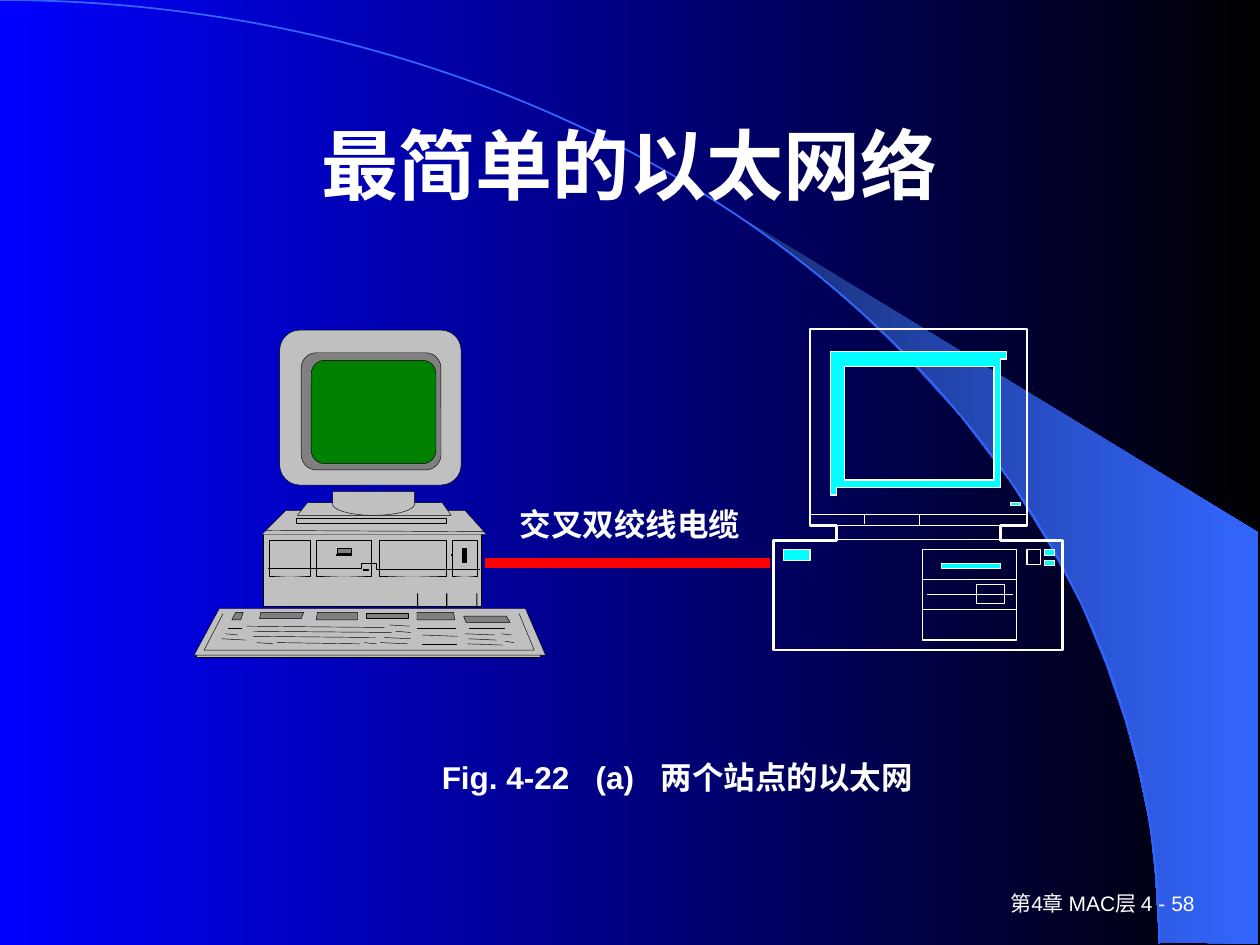
from math import cos, pi, sin

from lxml import etree
from pptx import Presentation
from pptx.dml.color import RGBColor
from pptx.enum.shapes import MSO_CONNECTOR, MSO_SHAPE
from pptx.enum.text import MSO_ANCHOR, PP_ALIGN
from pptx.oxml.ns import qn
from pptx.util import Cm, Pt

RECT, ROUND = MSO_SHAPE.RECTANGLE, MSO_SHAPE.ROUNDED_RECTANGLE
STRAIGHT = MSO_CONNECTOR.STRAIGHT
CENTER, RIGHT = PP_ALIGN.CENTER, PP_ALIGN.RIGHT
TOP, MIDDLE = MSO_ANCHOR.TOP, MSO_ANCHOR.MIDDLE
GRID = Cm(2.54) // 100
FINE = 100


class Theme:
    font = "Arial"
    title, label, footer = 44, 18, 12
    blue, black, white, red = "0000FF", "000000", "FFFFFF", "FF0000"
    navy, azure = "182F76", "3366FF"
    case, trim, screen, cyan = "C0C0C0", "808080", "008000", "00FFFF"


def add_text(text, box, size, align=CENTER, anchor=TOP, bold=False):
    tf = s.shapes.add_textbox(*(v * GRID for v in box)).text_frame
    tf.word_wrap = True
    tf.vertical_anchor = anchor
    p = tf.paragraphs[0]
    p.alignment = align
    r = p.add_run()
    r.text = text
    r.font.name, r.font.size, r.font.bold = Theme.font, Pt(size), bold
    r.font.color.rgb = RGBColor.from_string(Theme.white)


def draw(kind, data, fill=None, line=Theme.black, width=0.25, closed=True):
    if kind == "line":
        sp = s.shapes.add_connector(STRAIGHT, *(v * GRID for v in data))
        etree.SubElement(sp._element.spPr, qn("a:effectLst"))
    elif kind == "outline":
        contours = [[(x * FINE, y * FINE) for x, y in c] for c in data]
        fb = s.shapes.build_freeform(*contours[0][0], scale=GRID / FINE)
        for i, points in enumerate(contours):
            if i:
                fb.move_to(*points[0])
            fb.add_line_segments(points[1:], close=closed)
        sp = fb.convert_to_shape()
    else:
        sp = s.shapes.add_shape(kind, *(v * GRID for v in data))
    if kind != "line":
        sp.shadow.inherit = False
        if fill:
            sp.fill.solid()
            sp.fill.fore_color.rgb = RGBColor.from_string(fill)
        else:
            sp.fill.background()
    if line:
        sp.line.color.rgb = RGBColor.from_string(line)
        sp.line.width = Pt(width)
    else:
        sp.line.fill.background()
    return sp


prs = Presentation()
prs.slide_width, prs.slide_height = Cm(25.4), Cm(19.05)
s = prs.slides.add_slide(prs.slide_layouts[6])

wedge = draw("outline", [[
    (920, 748), (999, 749), (999, 423), (589, 173), (624, 199), (653, 222),
    (685, 250), (716, 280), (762, 330), (803, 384), (832, 431), (858, 479),
    (878, 528), (893, 572), (903, 609), (913, 656), (917, 696)]], line=None)
for fill, colors in ((s.background.fill, (Theme.blue, Theme.black)),
                     (wedge.fill, (Theme.navy, Theme.azure))):
    fill.gradient()
    fill.gradient_angle = 0
    for stop, position, color in zip(fill.gradient_stops, (0, 1), colors):
        stop.position = position
        stop.color.rgb = RGBColor.from_string(color)

STEPS = 90
arc = [(920 * sin(i * pi / 2 / STEPS), 749 - 749 * cos(i * pi / 2 / STEPS))
       for i in range(STEPS + 1)]
draw("outline", [arc], line=Theme.azure, width=1, closed=False)

add_text("第4章 MAC层 4 - 58", (750, 700, 208, 33), Theme.footer, RIGHT, MIDDLE)
draw("line", (385, 447, 611, 447), line=Theme.red, width=6)
add_text("最简单的以太网络", (75, 67, 850, 125), Theme.title, anchor=MIDDLE, bold=True)

draw(RECT, (209, 423, 173, 58), Theme.case)
draw("outline", [[(208, 424), (386, 424), (369, 405), (227, 405)]], Theme.case)
draw("line", (211, 421, 384, 422))
for x in (331, 354, 378):
    draw(RECT, (x, 471, 1, 14), Theme.black, line=None)
for x, w in ((214, 32), (251, 44), (301, 53), (359, 20)):
    draw(RECT, (x, 429, w, 28), Theme.case)
for box, color in (((367, 435, 3, 11), Theme.black), ((358, 440, 1, 1), Theme.case),
                   ((268, 435, 11, 4), Theme.trim), ((267, 440, 12, 1), Theme.black),
                   ((288, 452, 4, 1), Theme.black)):
    draw(RECT, box, color)
draw("outline", [[(213, 451), (287, 451), (287, 447), (299, 447), (299, 452), (381, 452)]],
     closed=False)

draw(RECT, (156, 518, 273, 4), Theme.case)
draw("outline", [[(154, 520), (433, 520), (417, 483), (174, 483)]], Theme.case)
draw("outline", [[(177, 487), (162, 516), (424, 516), (412, 487)]], closed=False)
for top, bottom, top_left, top_right, low_right, low_left in (
        (486, 492, 187, 193, 191, 184), (486, 491, 207, 241, 239, 206),
        (486, 492, 252, 284, 284, 251), (487, 491, 291, 324, 324, 291),
        (486, 492, 331, 360, 361, 331), (489, 494, 368, 402, 405, 370)):
    draw("outline", [[(top_left, top), (top_right, top), (low_right, bottom),
                      (low_left, bottom)]], Theme.trim)
for x1, x2, y, drop in (
        (196, 305, 497, 1), (201, 311, 501, 1), (201, 298, 505, 1), (204, 217, 510, 1),
        (181, 192, 499, 0), (179, 189, 503, 1), (176, 195, 507, 1), (220, 286, 510, 1),
        (309, 325, 496, 1), (314, 326, 501, 1), (305, 326, 506, 1), (289, 299, 510, 1),
        (302, 324, 510, 1), (331, 362, 499, 0), (335, 363, 504, 1), (335, 363, 511, 0),
        (372, 401, 499, 0), (369, 393, 503, 1), (372, 394, 507, 1), (371, 399, 511, 1),
        (398, 406, 503, 1), (401, 408, 509, 1)):
    draw("line", (x1, y, x2, y + drop))

draw("outline", [[(236, 409), (358, 409), (351, 399), (244, 399)]], Theme.case)
draw(RECT, (235, 411, 119, 4), Theme.case)
neck = [(296.5 + 32.5 * cos(i * pi / 24), 400 + 9 * sin(i * pi / 24)) for i in range(25)]
draw("outline", [[(264, 390), (329, 390)] + neck], Theme.case)
for box, radius, color in (((222, 262, 144, 123), 0.13, Theme.case),
                           ((239, 280, 111, 93), 0.13, Theme.trim),
                           ((247, 286, 99, 82), 0.13, Theme.screen)):
    draw(ROUND, box, color).adjustments[0] = radius

cabinet = [(664, 429), (614, 429), (614, 516), (843, 516), (843, 429), (794, 429),
           (794, 417), (815, 417), (815, 261), (643, 261), (643, 417), (664, 417)]
draw("outline", [cabinet], line=Theme.white, width=1.5)
for x1, y1, x2, y2, width in (
        (664, 428, 794, 428, 0.75), (664, 417, 794, 417, 0.75),
        (732, 460, 807, 460, 0.75), (732, 484, 807, 484, 0.75),
        (736, 472, 804, 472, 0.75), (642, 408, 815, 408, 0.5),
        (686, 416, 686, 408, 0.5), (730, 417, 730, 408, 0.5)):
    draw("line", (x1, y1, x2, y2), line=Theme.white, width=width)
for box in ((732, 436, 75, 72), (775, 464, 22, 15), (815, 436, 11, 12)):
    draw(RECT, box, line=Theme.white, width=0.75)

bezel = [(664, 387), (794, 387), (794, 285), (799, 285), (799, 279), (659, 279),
         (659, 393), (664, 393)]
glass = [(670, 381), (670, 291), (789, 291), (789, 381)]
draw("outline", [glass, bezel], Theme.cyan, Theme.white, 0.75)
for box in ((802, 399, 8, 2), (622, 436, 21, 9), (747, 447, 47, 4),
            (829, 436, 8, 5), (829, 445, 8, 4)):
    draw(RECT, box, Theme.cyan, Theme.white, 0.75)

add_text("交叉双绞线电缆", (390, 396, 220, 40), Theme.label, bold=True)
add_text("Fig. 4-22   (a)   两个站点的以太网", (211, 597, 653, 40), Theme.label, bold=True)

prs.save("out.pptx")
